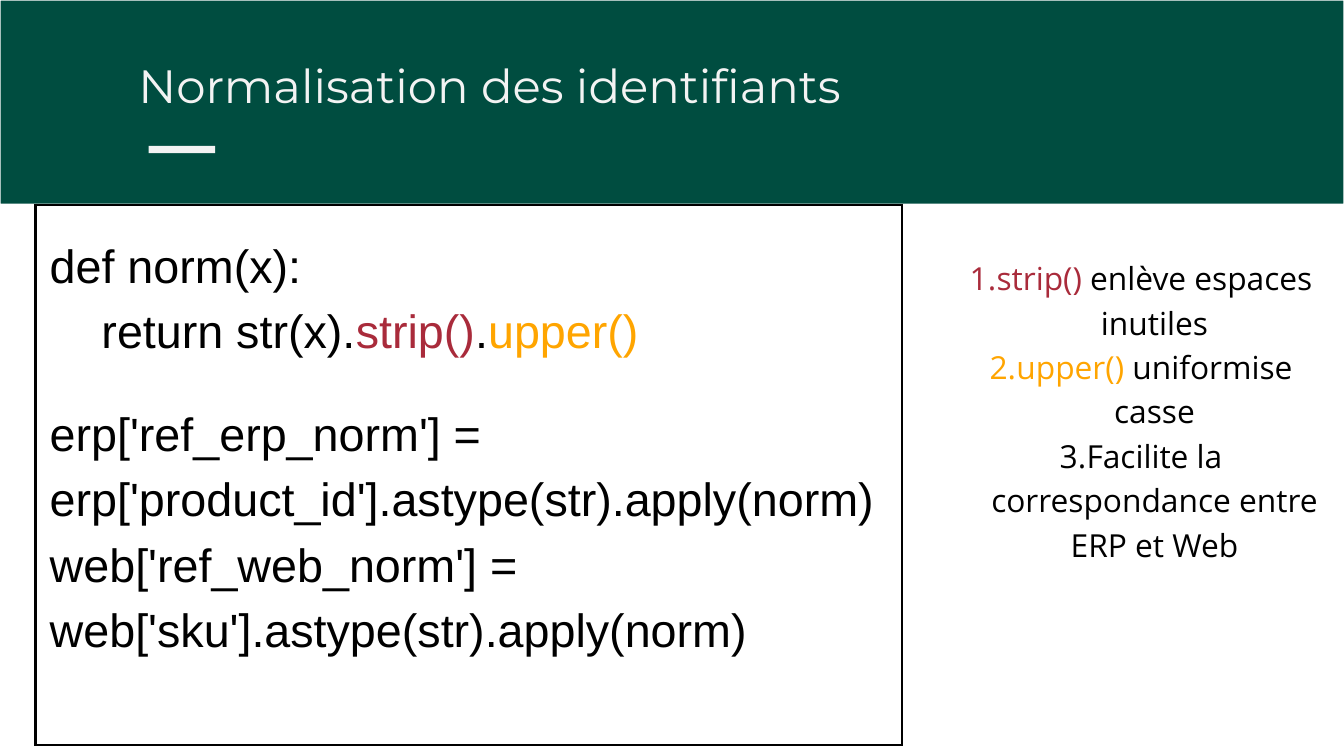
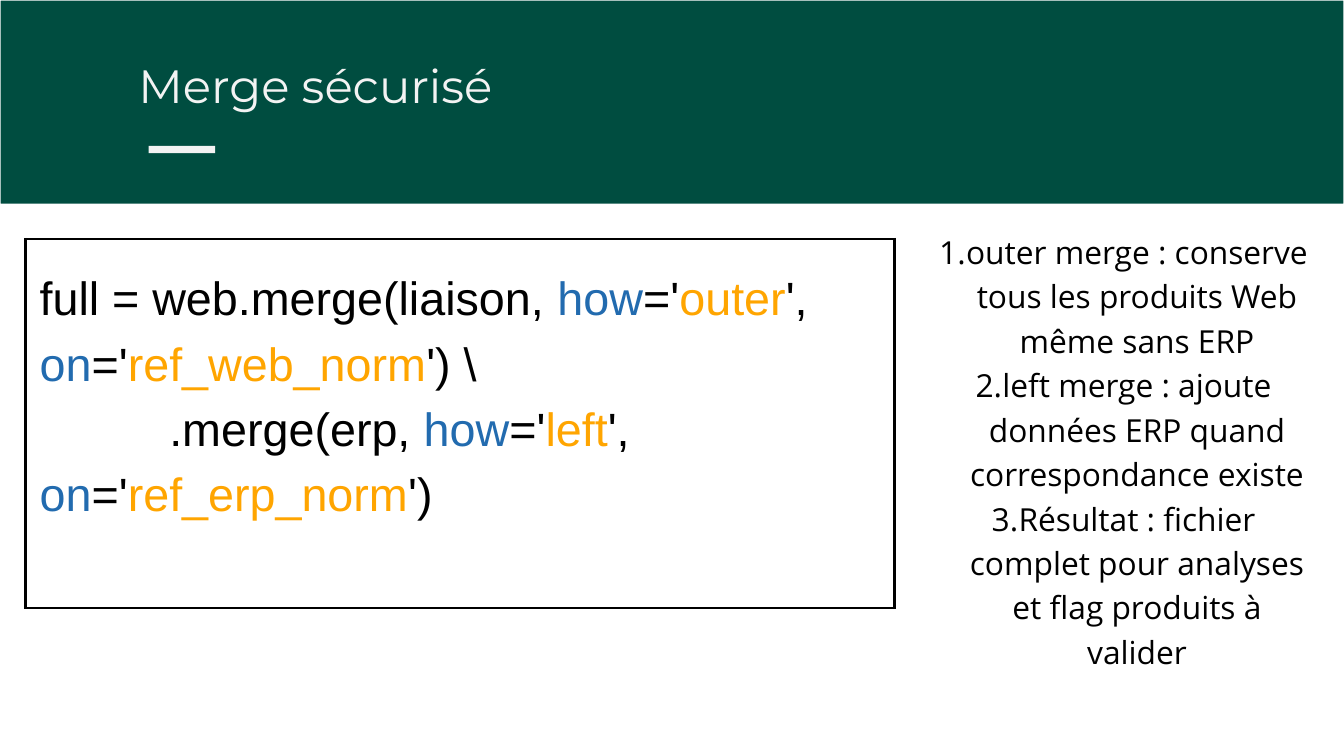
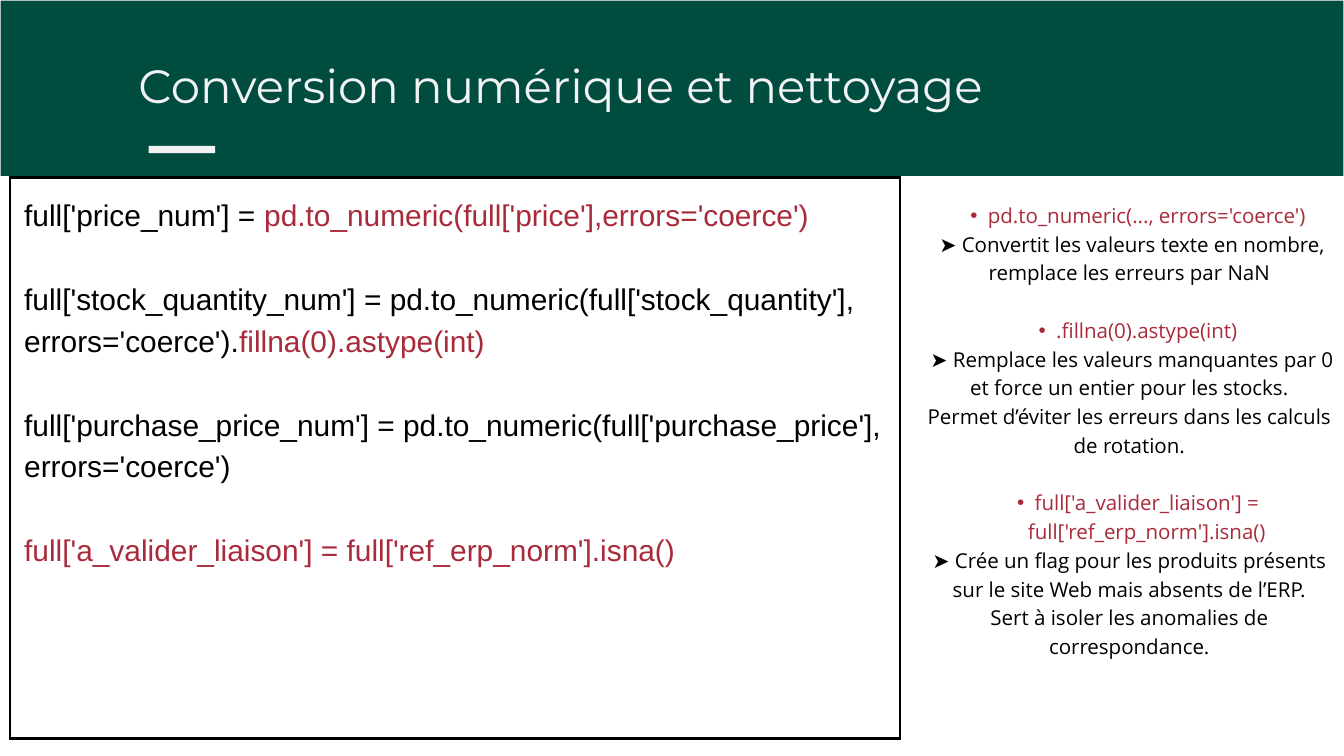
from dataclasses import dataclass

from lxml.etree import SubElement
from pptx import Presentation
from pptx.dml.color import RGBColor
from pptx.enum.shapes import MSO_SHAPE
from pptx.enum.text import MSO_ANCHOR, MSO_AUTO_SIZE, PP_ALIGN
from pptx.oxml.ns import qn
from pptx.util import Inches, Pt


@dataclass(frozen=True)
class Theme:
    green: str = "004D40"
    white: str = "FFFFFF"
    pale: str = "F3F3F3"
    black: str = "000000"
    red: str = "A92B3B"
    amber: str = "FFA500"
    blue: str = "226BAF"
    head: str = "Montserrat"
    code: str = "Arial"
    body: str = "Open Sans"
    title: int = 50
    large: int = 50
    small: int = 32
    note: int = 34
    tiny: int = 22
    border: int = 3


THEME = Theme()


def red(text):
    return text, THEME.red


def amber(text):
    return text, THEME.amber


def blue(text):
    return text, THEME.blue


@dataclass
class Para:
    """Runs are plain strings or (text, colour) pairs."""
    runs: list
    gap: float = 0
    left: float = 0
    first: float = 0
    mark: str = ""


def point(*runs, gap=0):
    return Para(runs, gap, 0.52, -0.26, "•")


def step(*runs):
    return Para(runs, 0, 0.8, -0.4, "1.")


def write(frame, paras, *, font, size, lead, color=THEME.black, align=PP_ALIGN.LEFT):
    for i, para in enumerate(paras):
        line = frame.paragraphs[0] if i == 0 else frame.add_paragraph()
        line.alignment = align
        line.line_spacing = Pt(lead)
        line.space_before = Pt(para.gap)
        for run in para.runs:
            words, tint = (run, color) if isinstance(run, str) else run
            part = line.add_run()
            part.text = words
            part.font.name = font
            part.font.size = Pt(size)
            part.font.color.rgb = RGBColor.from_string(tint)
        props = line._p.get_or_add_pPr()
        props.set("marL", str(Inches(para.left)))
        props.set("indent", str(Inches(para.first)))
        if para.mark:
            line.level = 1
        if para.mark == "1.":
            SubElement(props, qn("a:buAutoNum"), type="arabicPeriod")
        elif para.mark:
            SubElement(props, qn("a:buFont"), typeface="Arial")
            SubElement(props, qn("a:buChar"), char=para.mark)
        else:
            SubElement(props, qn("a:buNone"))


class Deck:
    def __init__(self, theme):
        self.theme = theme
        self.show = Presentation()
        self.show.slide_width = Inches(20)
        self.show.slide_height = Inches(11.25)
        self.slide = None

    def start(self, title, band=3.04):
        """Add a slide with its green band, accent bar and title."""
        look = self.theme
        self.slide = self.show.slides.add_slide(self.show.slide_layouts[6])
        self.shape(MSO_SHAPE.RECTANGLE, (0, 0, 20, band), look.green)
        rim = self.shape(MSO_SHAPE.FRAME, (-0.01, -0.01, 20.02, band + 0.02), look.white)
        rim.adjustments[0] = 0.02 / (band + 0.02)
        self.shape(MSO_SHAPE.RECTANGLE, (2.21, 2.17, 0.99, 0.11), look.pale)
        self.text((2.06, 0.85, 14.92, 0.81), [Para([title])], font=look.head,
                  size=look.title, lead=60, color=look.pale)

    def shape(self, kind, box, color):
        item = self.slide.shapes.add_shape(kind, *map(Inches, box))
        item.shadow.inherit = False
        item.fill.solid()
        item.fill.fore_color.rgb = RGBColor.from_string(color)
        item.line.fill.background()
        return item

    def text(self, box, paras, **style):
        frame = self.slide.shapes.add_textbox(*map(Inches, box)).text_frame
        frame.word_wrap = True
        frame.auto_size = MSO_AUTO_SIZE.SHAPE_TO_FIT_TEXT
        frame.margin_left = frame.margin_right = 0
        frame.margin_top = frame.margin_bottom = 0
        write(frame, paras, **style)

    def notes(self, box, paras, size):
        self.text(box, paras, font=self.theme.body, size=size, lead=size * 1.4,
                  align=PP_ALIGN.CENTER)

    def code(self, left, top, cols, rows, paras, size, foot):
        """Draw a bordered table merged into one cell; foot is its bottom inset."""
        box = map(Inches, (left, top, sum(cols), sum(rows)))
        table = self.slide.shapes.add_table(len(rows), len(cols), *box).table
        table.first_row = table.horz_banding = False
        for col, width in zip(table.columns, cols):
            col.width = Inches(width)
        for row, height in zip(table.rows, rows):
            row.height = Inches(height)
        for cell in table.iter_cells():
            self.edge(cell)
            cell.fill.background()
        cell = table.cell(0, 0)
        if len(rows) * len(cols) > 1:
            cell.merge(table.cell(len(rows) - 1, len(cols) - 1))
        cell.vertical_anchor = MSO_ANCHOR.MIDDLE
        cell.margin_left = cell.margin_right = cell.margin_top = Inches(0.21)
        cell.margin_bottom = Inches(foot)
        write(cell.text_frame, paras, font=self.theme.code, size=size, lead=size * 1.4)

    def edge(self, cell):
        props = cell._tc.get_or_add_tcPr()
        for side in "LRTB":
            line = SubElement(props, qn(f"a:ln{side}"), w=str(Pt(self.theme.border)))
            fill = SubElement(line, qn("a:solidFill"))
            SubElement(fill, qn("a:srgbClr"), val=self.theme.black)


def norm(deck):
    deck.start("Normalisation des identifiants")
    deck.code(0.53, 3.05, [6.07, 2.52, 4.3], [2.29, 0.8, 1.06, 3.89], [
        Para(["def norm(x):"]),
        Para(["return str(x).", red("strip()"), ".", amber("upper()")], left=0.77),
        Para(["erp['ref_erp_norm'] = erp['product_id'].astype(str).apply(norm)"], gap=40.6),
        Para(["web['ref_web_norm'] = web['sku'].astype(str).apply(norm)"]),
    ], THEME.large, 1.18)
    deck.notes((13.82, 3.76, 5.92, 5.23), [
        step(red("strip() "), "enlève espaces inutiles"),
        step(amber("upper()"), " uniformise casse"),
        step("Facilite la correspondance entre ERP et Web"),
    ], THEME.note)


def merge(deck):
    def keys(how, ref):
        return [blue("how"), "='", amber(how), "', ", blue("on"), "='", amber(ref)]

    deck.start("Merge sécurisé")
    deck.code(0.38, 3.56, [12.93], [5.49], [
        Para(["full = web.merge(liaison, ", *keys("outer", "ref_web_norm"), "') \\"]),
        Para([".merge(erp, ", *keys("left", "ref_erp_norm"), "')"], first=1.93),
    ], THEME.large, 1.18)
    deck.notes((13.56, 3.37, 5.92, 7.2), [
        step("outer merge : conserve tous les produits Web même sans ERP"),
        step("left merge : ajoute données ERP quand correspondance existe"),
        step("Résultat : fichier complet pour analyses et flag produits à valider"),
    ], THEME.note)


def clean(deck):
    flag = red("full['a_valider_liaison'] = full['ref_erp_norm'].isna()")
    deck.start("Conversion numérique et nettoyage", band=2.63)
    deck.code(0.15, 2.64, [13.24], [8.35], [
        Para(["full['price_num'] = ", red("pd.to_numeric(full['price'],errors='coerce')")]),
        Para(["full['stock_quantity_num'] = pd.to_numeric(full['stock_quantity'], "
              "errors='coerce').", red("fillna(0).astype(int)")], gap=44.8),
        Para(["full['purchase_price_num'] = pd.to_numeric(full['purchase_price'], "
              "errors='coerce')"], gap=44.8),
        Para([flag], gap=44.8),
    ], THEME.small, 2.54)
    deck.notes((13.61, 2.96, 6.39, 7.78), [
        point(red("pd.to_numeric(..., errors='coerce')")),
        Para([" ➤ Convertit les valeurs texte en nombre, remplace les erreurs par NaN"]),
        point(red(".fillna(0).astype(int)"), gap=30.8),
        Para([" ➤ Remplace les valeurs manquantes par 0 et force un entier pour les stocks."]),
        Para(["Permet d’éviter les erreurs dans les calculs de rotation."]),
        point(flag, gap=30.8),
        Para(["➤ Crée un flag pour les produits présents sur le site Web "
              "mais absents de l’ERP."]),
        Para(["Sert à isoler les anomalies de correspondance."]),
    ], THEME.tiny)


def main():
    deck = Deck(THEME)
    for build in (norm, merge, clean):
        build(deck)
    deck.show.save("out.pptx")


if __name__ == "__main__":
    main()
